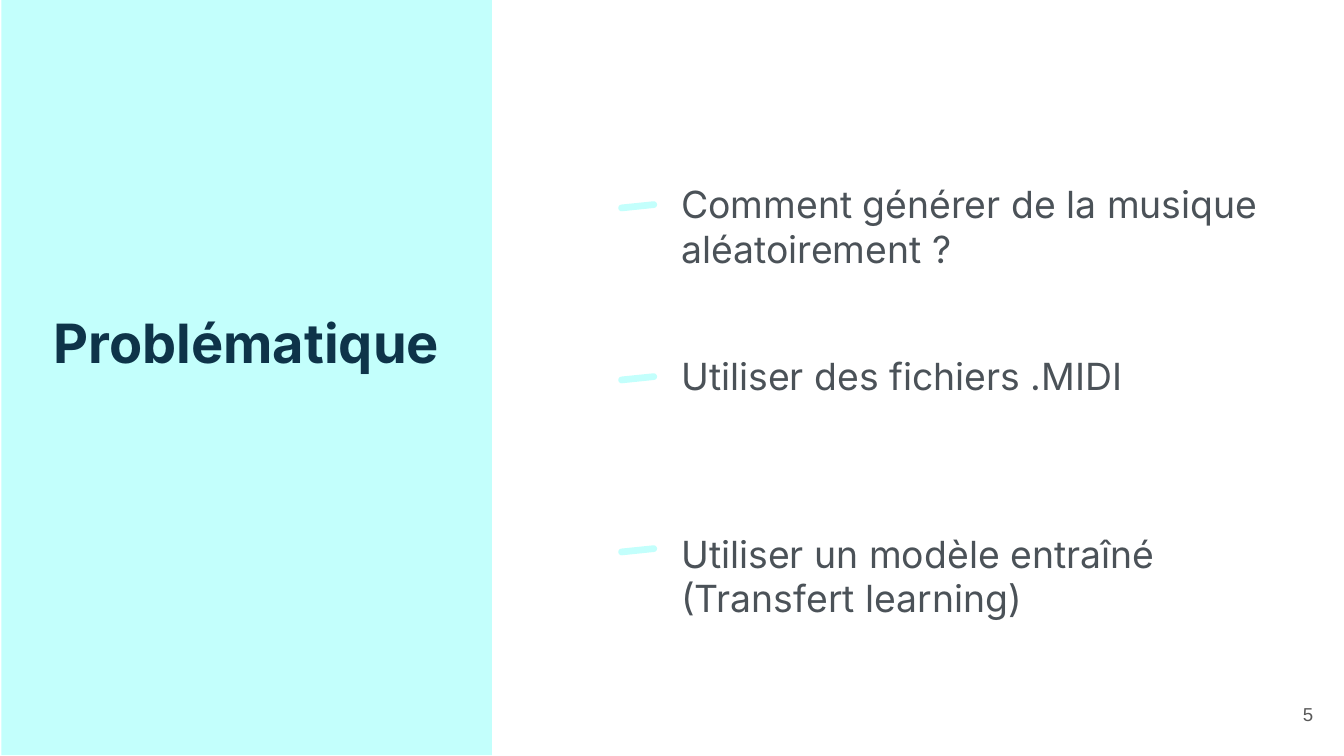
from pptx import Presentation
from pptx.dml.color import RGBColor
from pptx.enum import shapes, text
from pptx.util import Inches, Pt

HUES = {"aqua": "C3FFFC", "navy": "0E3449", "slate": "4B5258", "gray": "595959"}
ITEMS = [
    (1.25, 0.58, ["Comment générer de la musique", "aléatoirement ?"]),
    (2.53, 0.58, ["Utiliser des fichiers .MIDI"]),
    (3.85, 1.14, ["Utiliser un modèle entraîné", "(Transfert learning)"]),
]
DASH_TOP, DASH_STEP = 1.51, 1.28


def place(shape, left, top, width, height):
    shape.left, shape.top = Inches(left), Inches(top)
    shape.width, shape.height = Inches(width), Inches(height)


def write(shape, lines, size, hue, font="Inter", bold=False,
          align=text.PP_ALIGN.LEFT, anchor=text.MSO_ANCHOR.TOP):
    frame = shape.text_frame
    frame.text = "\n".join(lines)
    frame.word_wrap = True
    frame.auto_size = text.MSO_AUTO_SIZE.NONE
    frame.vertical_anchor = anchor
    frame.margin_left = frame.margin_right = Inches(0.1)
    frame.margin_top = frame.margin_bottom = Inches(0.1)
    for line in frame.paragraphs:
        line.alignment = align
        line.font.name, line.font.size, line.font.bold = font, Pt(size), bold
        line.font.color.rgb = RGBColor.from_string(HUES[hue])


def add_label(slide, box, lines, size, hue, **style):
    label = slide.shapes.add_textbox(*map(Inches, box))
    write(label, lines, size, hue, **style)


def add_block(slide, kind, box, hue):
    block = slide.shapes.add_shape(kind, *map(Inches, box))
    block.shadow.inherit = False
    block.fill.solid()
    block.fill.fore_color.rgb = RGBColor.from_string(HUES[hue])
    block.line.fill.background()
    return block


def add_dash(slide, top):
    dash = add_block(slide, shapes.MSO_SHAPE.ROUNDED_RECTANGLE,
                     (4.6, top, 0.29, 0.05), "aqua")
    dash.adjustments[0] = 0.5
    dash.rotation = 354.1


def add_title(slide, words):
    """Fill the title placeholder and bring it in front of the panel."""
    title = slide.shapes.title
    place(title, 0.25, 2.2, 3.17, 0.69)
    write(title, [words], 29, "navy", bold=True, align=text.PP_ALIGN.CENTER)
    slide.shapes.element.append(title.element)


def main():
    deck = Presentation()
    deck.slide_width = Inches(10)
    deck.slide_height = deck.slide_width * 9 // 16
    slide = deck.slides.add_slide(deck.slide_layouts[5])
    add_block(slide, shapes.MSO_SHAPE.RECTANGLE, (0.01, -0.02, 3.65, 5.64), "aqua")
    add_title(slide, "Problématique")
    for row, (top, height, lines) in enumerate(ITEMS):
        add_label(slide, (4.97, top, 5.81, height), lines, 20, "slate")
        add_dash(slide, DASH_TOP + row * DASH_STEP)
    add_label(slide, (9.27, 5.1, 0.6, 0.43), ["5"], 10, "gray", font="Arial",
              align=text.PP_ALIGN.RIGHT, anchor=text.MSO_ANCHOR.MIDDLE)
    deck.save("out.pptx")


if __name__ == "__main__":
    main()
